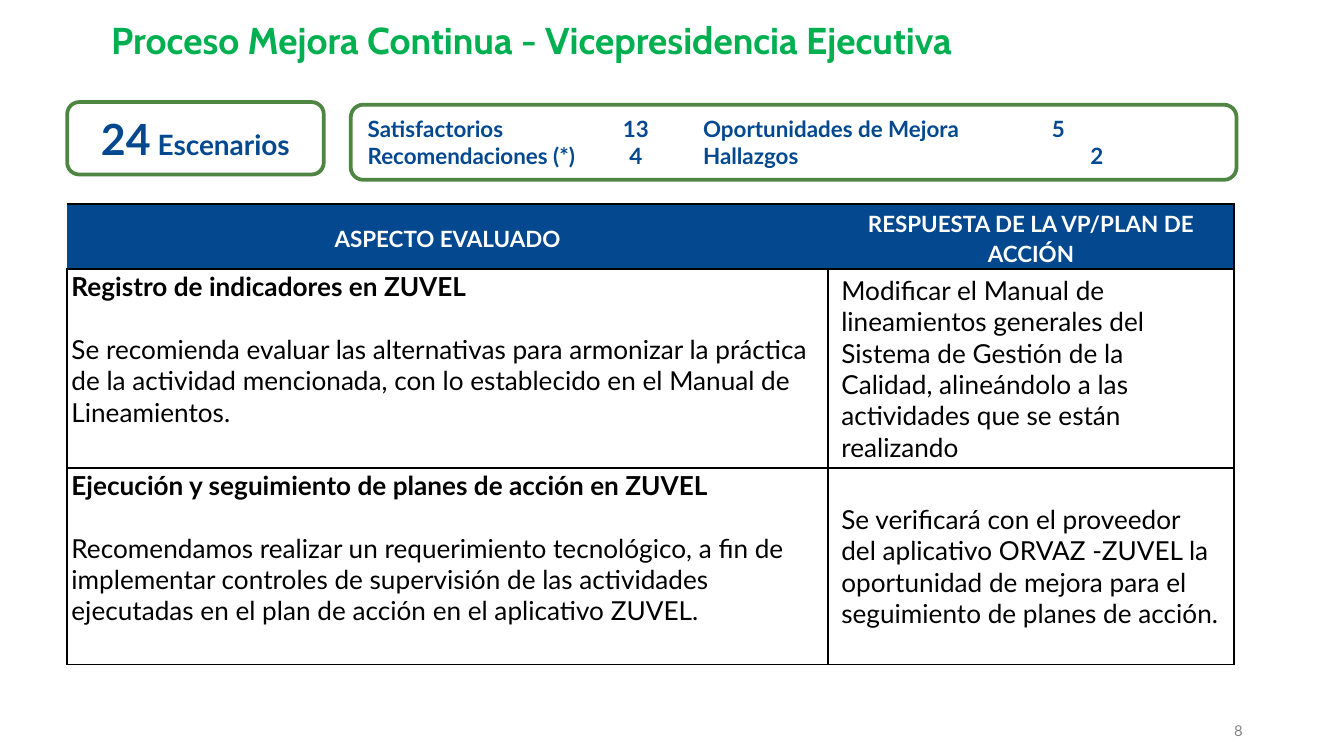
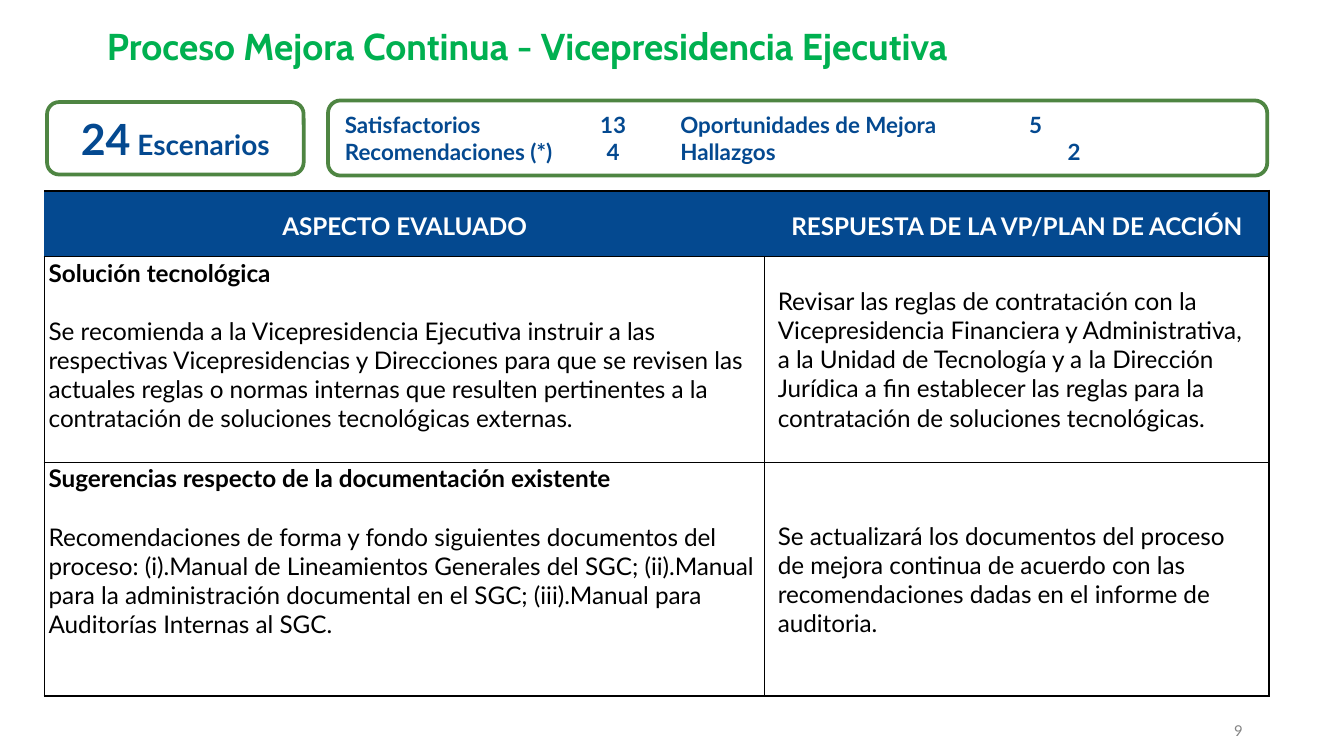
from lxml.etree import SubElement
from pptx import Presentation
from pptx.dml.color import RGBColor
from pptx.enum.shapes import MSO_SHAPE
from pptx.enum.text import MSO_ANCHOR as Anchor, PP_ALIGN as Align
from pptx.oxml.ns import qn
from pptx.util import Cm, Pt

GREEN_TITLE = RGBColor(0x00, 0xB0, 0x50)
GREEN_BORDER = RGBColor(0x4E, 0x85, 0x42)
BLUE = RGBColor(0x04, 0x49, 0x90)
GRAY = RGBColor(0x84, 0x84, 0x84)
BLACK = RGBColor(0, 0, 0)
WHITE = RGBColor(0xFF, 0xFF, 0xFF)
BODY_FONT, TITLE_FONT = "Lato", "Cabin"

TITLE = "Proceso Mejora Continua - Vicepresidencia Ejecutiva"
HEADERS = ("ASPECTO EVALUADO", "RESPUESTA DE LA VP/PLAN DE ACCIÓN")
SCENARIOS = (("24", 23), (" Escenarios", 15))
# Each line of results, with the place of its last figure in centimetres
RESULTS = [
    (("Satisfactorios", "13", "Oportunidades de Mejora", "5"), 12.93),
    (("Recomendaciones (*)", "4", "Hallazgos", "2"), 13.66),
]
COUNT_TAB, LABEL_TAB = 5.07, 6.34

# Boxes are left, top, width, height in centimetres
PAGE_BOX = (22.68, 13.64, 0.81, 0.33)
SLIDES = [
    {
        "page": 8,
        "title": (0.79, 0.46, 18.52, 1.07),
        "scenarios": (1.27, 1.93, 4.85, 1.37),
        "results": (6.63, 1.98, 16.74, 1.42),
        "table": (1.27, 3.86),
        "columns": (14.38, 7.67),
        "rows": (1.22, 3.76, 3.71),
        "header_size": 12,
        "body_size": 14,
        "findings": [
            ("Registro de indicadores en ZUVEL",
             "Se recomienda evaluar las alternativas para armonizar la práctica de la "
             "actividad mencionada, con lo establecido en el Manual de Lineamientos.",
             "Modificar el Manual de lineamientos generales del Sistema de Gestión de la "
             "Calidad, alineándolo a las actividades que se están realizando"),
            ("Ejecución y seguimiento de planes de acción en ZUVEL",
             "Recomendamos realizar un requerimiento tecnológico, a fin de implementar "
             "controles de supervisión de las actividades ejecutadas en el plan de acción "
             "en el aplicativo ZUVEL.",
             "Se verificará con el proveedor del aplicativo ORVAZ -ZUVEL la oportunidad "
             "de mejora para el seguimiento de planes de acción."),
        ],
    },
    {
        "page": 9,
        "title": (0.71, 0.56, 18.52, 0.89),
        "scenarios": (0.89, 1.93, 4.85, 1.37),
        "results": (6.2, 1.9, 17.75, 1.42),
        "table": (0.84, 3.61),
        "columns": (13.61, 9.53),
        "rows": (1.24, 3.89, 4.42),
        "header_size": 13,
        "body_size": 13,
        "findings": [
            ("Solución tecnológica",
             "Se recomienda a la Vicepresidencia Ejecutiva instruir a las respectivas "
             "Vicepresidencias y Direcciones para que se revisen las actuales reglas o "
             "normas internas que resulten pertinentes a la contratación de soluciones "
             "tecnológicas externas.",
             "Revisar las reglas de contratación con la Vicepresidencia Financiera y "
             "Administrativa, a la Unidad de Tecnología y a la Dirección Jurídica a fin "
             "establecer las reglas para la contratación de soluciones tecnológicas."),
            ("Sugerencias respecto de la documentación existente",
             "Recomendaciones de forma y fondo siguientes documentos del proceso: "
             "(i).Manual de Lineamientos Generales del SGC; (ii).Manual para la "
             "administración documental en el SGC; (iii).Manual para Auditorías Internas "
             "al SGC.",
             "Se actualizará los documentos del proceso de mejora continua de acuerdo con "
             "las recomendaciones dadas en el informe de auditoria."),
        ],
    },
]


def add_run(paragraph, text, size, color, bold=False, font=BODY_FONT):
    run = paragraph.add_run()
    run.text = text
    run.font.name = font
    run.font.size = Pt(size)
    run.font.bold = bold
    run.font.color.rgb = color


def add_label(slide, box, alignment, anchor):
    """Add a text box without margins and return its first paragraph."""
    frame = slide.shapes.add_textbox(*map(Cm, box)).text_frame
    frame.margin_left = frame.margin_right = frame.margin_top = frame.margin_bottom = 0
    frame.word_wrap = True
    frame.vertical_anchor = anchor
    paragraph = frame.paragraphs[0]
    paragraph.alignment = alignment
    return paragraph


def add_panel(slide, box):
    """Add a white rounded panel with a green outline and return its text frame."""
    shape = slide.shapes.add_shape(MSO_SHAPE.ROUNDED_RECTANGLE, *map(Cm, box))
    shape.shadow.inherit = False
    shape.fill.solid()
    shape.fill.fore_color.rgb = WHITE
    shape.line.color.rgb = GREEN_BORDER
    shape.line.width = Pt(2)
    shape.text_frame.word_wrap = True
    return shape.text_frame


def add_results(slide, box):
    frame = add_panel(slide, box)
    for index, (entries, last_tab) in enumerate(RESULTS):
        paragraph = frame.add_paragraph() if index else frame.paragraphs[0]
        paragraph.alignment = Align.LEFT
        tabs = SubElement(paragraph._p.get_or_add_pPr(), qn("a:tabLst"))
        for position, kind in ((COUNT_TAB, "ctr"), (LABEL_TAB, "l"), (last_tab, "l")):
            SubElement(tabs, qn("a:tab"), pos=str(Cm(position)), algn=kind)
        add_run(paragraph, "\t".join(entries), 12, BLUE, bold=True)


def set_borders(cell, left, right, top, bottom):
    """Draw black cell borders of the given point widths; 0 draws none."""
    properties = cell._tc.get_or_add_tcPr()
    for side, width in zip("LRTB", (left, right, top, bottom)):
        line = SubElement(properties, qn(f"a:ln{side}"), w=str(Pt(width)))
        if width:
            fill = SubElement(line, qn("a:solidFill"))
            SubElement(fill, qn("a:srgbClr"), val=str(BLACK))
        else:
            SubElement(line, qn("a:noFill"))


def set_margins(cell, horizontal, vertical):
    cell.margin_left = cell.margin_right = Cm(horizontal)
    cell.margin_top = cell.margin_bottom = Cm(vertical)


def fill_header(cell, text, size, is_last):
    set_borders(cell, 0, 1.5 if is_last else 0, 1.5, 1)
    cell.fill.solid()
    cell.fill.fore_color.rgb = BLUE
    set_margins(cell, 0.08, 0.03)
    cell.vertical_anchor = Anchor.MIDDLE
    paragraph = cell.text_frame.paragraphs[0]
    paragraph.alignment = Align.CENTER
    paragraph.line_spacing = 1.15
    add_run(paragraph, text, size, WHITE, bold=True)


def fill_finding(aspect, response, finding, size):
    heading, detail, answer = finding
    for cell in (aspect, response):
        set_borders(cell, 1, 1, 1, 1)
        cell.fill.background()
    set_margins(aspect, 0.08, 0.03)
    aspect.vertical_anchor = Anchor.TOP
    paragraph = aspect.text_frame.paragraphs[0]
    paragraph.space_after = Pt(size * 1.2)
    add_run(paragraph, heading, size, BLACK, bold=True)
    add_run(aspect.text_frame.add_paragraph(), detail, size, BLACK)
    set_margins(response, 0.25, 0.1)
    response.vertical_anchor = Anchor.MIDDLE
    add_run(response.text_frame.paragraphs[0], answer, size, BLACK)


def add_findings(slide, content):
    columns, rows = content["columns"], content["rows"]
    table = slide.shapes.add_table(
        len(rows), len(columns), *map(Cm, content["table"]), Cm(sum(columns)), Cm(sum(rows))
    ).table
    table.first_row = table.horz_banding = False
    for column, width in zip(table.columns, columns):
        column.width = Cm(width)
    for row, height in zip(table.rows, rows):
        row.height = Cm(height)
    for index, text in enumerate(HEADERS):
        fill_header(table.cell(0, index), text, content["header_size"],
                    index == len(HEADERS) - 1)
    for index, finding in enumerate(content["findings"], start=1):
        fill_finding(table.cell(index, 0), table.cell(index, 1), finding, content["body_size"])


def add_slide(presentation, content):
    slide = presentation.slides.add_slide(presentation.slide_layouts[6])
    page = add_label(slide, PAGE_BOX, Align.RIGHT, Anchor.BOTTOM)
    add_run(page, str(content["page"]), 8, GRAY)
    add_findings(slide, content)
    title = add_label(slide, content["title"], Align.CENTER, Anchor.TOP)
    title.line_spacing = 0.85
    add_run(title, TITLE, 20, GREEN_TITLE, bold=True, font=TITLE_FONT)
    scenarios = add_panel(slide, content["scenarios"]).paragraphs[0]
    scenarios.alignment = Align.CENTER
    for text, size in SCENARIOS:
        add_run(scenarios, text, size, BLUE, bold=True)
    add_results(slide, content["results"])


def main():
    presentation = Presentation()
    presentation.slide_width = Cm(25.4)
    presentation.slide_height = Cm(14.29)
    for content in SLIDES:
        add_slide(presentation, content)
    presentation.save("out.pptx")


if __name__ == "__main__":
    main()
